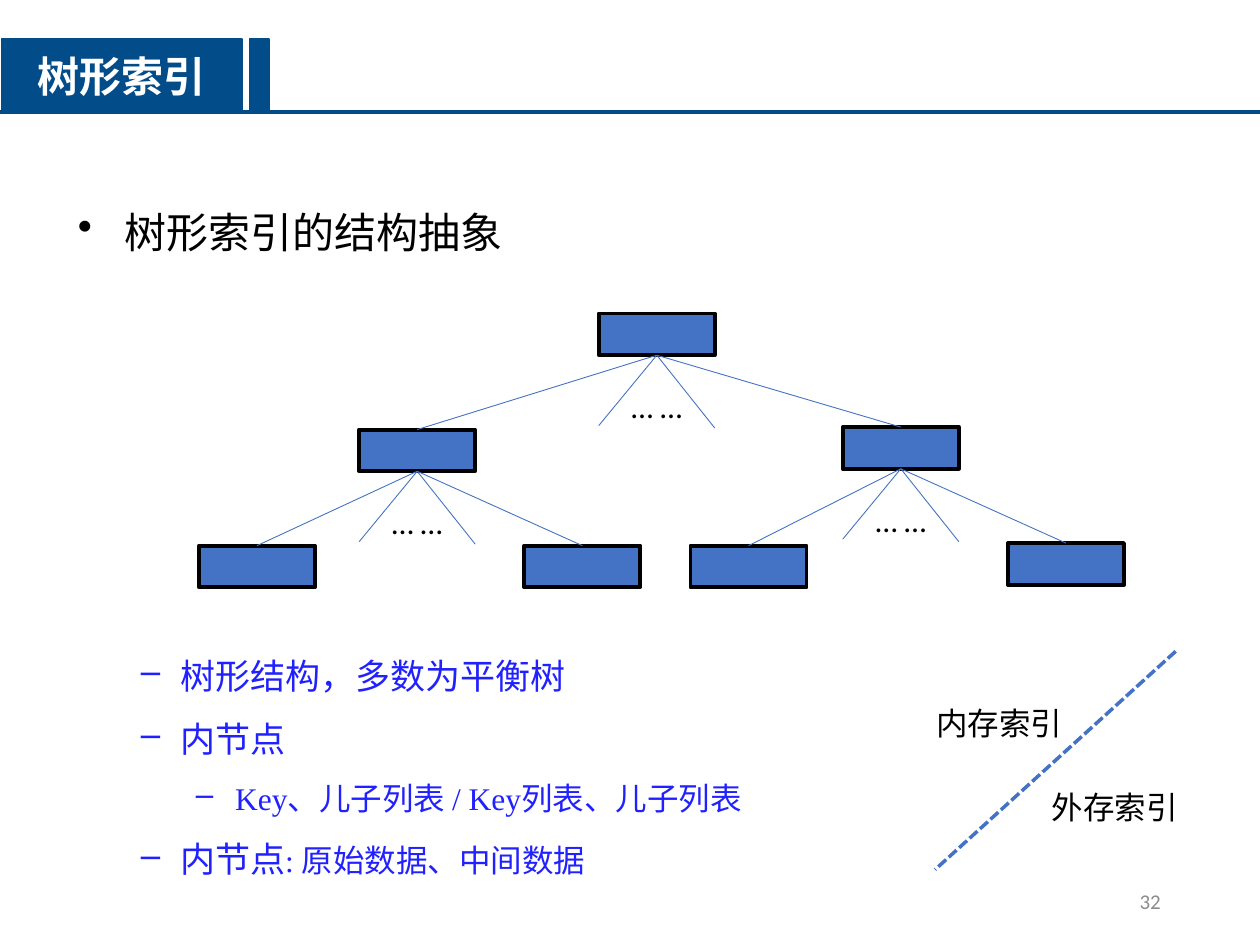
"""Build a slide on the abstract structure of tree indexes."""
from lxml.etree import SubElement
from pptx import Presentation
from pptx.dml.color import RGBColor
from pptx.enum.dml import MSO_LINE_DASH_STYLE as Dash
from pptx.enum.shapes import MSO_CONNECTOR as Link, MSO_SHAPE as Shape
from pptx.enum.text import MSO_ANCHOR as Anchor, MSO_AUTO_SIZE as Fit, PP_ALIGN as Align
from pptx.oxml.ns import qn
from pptx.util import Cm, Pt

NAVY = RGBColor(0x02, 0x4C, 0x89)
BLUE = RGBColor(0x44, 0x72, 0xC4)
INK = RGBColor(0x21, 0x21, 0xFF)
GRAY = RGBColor(0x8C, 0x8C, 0x8C)
BLACK = RGBColor(0, 0, 0)
WHITE = RGBColor(255, 255, 255)
SERIF = "Times New Roman"
WIDE, HIGH = 2.34, 0.84

deck = Presentation()
deck.slide_width, deck.slide_height = Cm(25.4), Cm(19.05)
slide = deck.slides.add_slide(deck.slide_layouts[5])
shapes = slide.shapes


def draw(x1, y1, x2, y2, color, width):
    line = shapes.add_connector(Link.STRAIGHT, Cm(x1), Cm(y1), Cm(x2), Cm(y2))
    line.line.color.rgb = color
    line.line.width = Pt(width)
    SubElement(line._element.spPr, qn("a:effectLst"))
    return line


def write(x, y, w, h, rows, align, color, face):
    box = shapes.add_textbox(Cm(x), Cm(y), Cm(w), Cm(h))
    frame = box.text_frame
    frame.word_wrap = True
    for i, (text, size, left, hang, mark) in enumerate(rows):
        para = frame.paragraphs[0] if i == 0 else frame.add_paragraph()
        para.alignment = align
        if mark:
            props = para._p.get_or_add_pPr()
            props.set("marL", str(Cm(left)))
            props.set("indent", str(-Cm(hang)))
            SubElement(props, qn("a:buChar")).set("char", mark)
            para.line_spacing = 1.25
            para.space_before = Pt(6 if i else 0)
        para.font.size = Pt(size)
        para.font.name = face
        para.font.color.rgb = color
        para.add_run().text = text
    return frame


draw(0, 2.26, 25.4, 2.26, NAVY, 2)

title = shapes.title
title.left, title.top, title.width, title.height = Cm(0.03), Cm(0.79), Cm(4.85), Cm(1.47)
title.text_frame.text = "树形索引"
title.text_frame.auto_size = Fit.NONE
title.text_frame.vertical_anchor = Anchor.MIDDLE
head = title.text_frame.paragraphs[0]
head.alignment = Align.CENTER
head.font.size = Pt(24)
head.font.bold = True
head.font.name = "Arial"
head.font.color.rgb = WHITE
tab = shapes.add_shape(Shape.RECTANGLE, Cm(5.03), Cm(0.79), Cm(0.4), Cm(1.47))
tab.shadow.inherit = False
for bar in (title, tab):
    bar.fill.solid()
    bar.fill.fore_color.rgb = NAVY
    bar.line.color.rgb = NAVY
    bar.line.width = Pt(1)

write(1.32, 3.78, 21.97, 1.6, [("树形索引的结构抽象", 24, 0.95, 0.95, "•")],
      Align.JUSTIFY, BLACK, SERIF)
notes = write(1.32, 12.85, 17, 5.3, [
    ("树形结构，多数为平衡树", 20, 2.06, 0.79, "–"),
    ("内节点", 20, 2.06, 0.79, "–"),
    ("Key、儿子列表 / Key列表、儿子列表", 18, 3.17, 0.79, "–"),
    ("内节点", 20, 2.06, 0.79, "–"),
], Align.JUSTIFY, INK, SERIF)
tail = notes.paragraphs[-1].add_run()
tail.text = ": 原始数据、中间数据"
tail.font.size = Pt(18)

spots = [(12.07, 6.32), (7.24, 8.66), (16.99, 8.61),
         (4.01, 11), (10.57, 11), (13.92, 11), (20.32, 10.95)]
nodes = []
for x, y in spots:
    node = shapes.add_shape(Shape.RECTANGLE, Cm(x), Cm(y), Cm(WIDE), Cm(HIGH))
    node.shadow.inherit = False
    node.fill.solid()
    node.fill.fore_color.rgb = BLUE
    node.line.color.rgb = BLACK
    node.line.width = Pt(2.25)
    nodes.append(node)

for i, (x, y) in enumerate(spots[:3]):
    mid, base = x + WIDE / 2, y + HIGH
    for kid in (2 * i + 1, 2 * i + 2):
        left, top = spots[kid]
        edge = draw(mid, base, left + WIDE / 2, top, BLUE, 0.5)
        edge.begin_connect(nodes[i], 2)
        edge.end_connect(nodes[kid], 0)
    for side, drop in ((-1, 1.42), (1, 1.47)):
        stub = draw(mid, base, mid + side * WIDE / 2, base + drop, BLUE, 0.5)
        stub.begin_connect(nodes[i], 2)
    write(mid - 1.64, base + 0.52, 3.28, 1.02, [("… …", 18, 0, 0, "")],
          Align.CENTER, BLACK, "Calibri")

split = draw(23.7, 13.13, 18.85, 17.53, BLUE, 2)
split.line.dash_style = Dash.SQUARE_DOT
for x, y, text in ((18.62, 14.07, "内存索引"), (20.95, 15.77, "外存索引")):
    write(x, y, 3.38, 1.02, [(text, 18, 0, 0, "")], Align.LEFT, BLACK, "Calibri")

page = write(17.93, 17.65, 5.72, 1.02, [("32", 12, 0, 0, "")], Align.RIGHT, GRAY, "Calibri")
page.vertical_anchor = Anchor.MIDDLE

deck.save("out.pptx")
